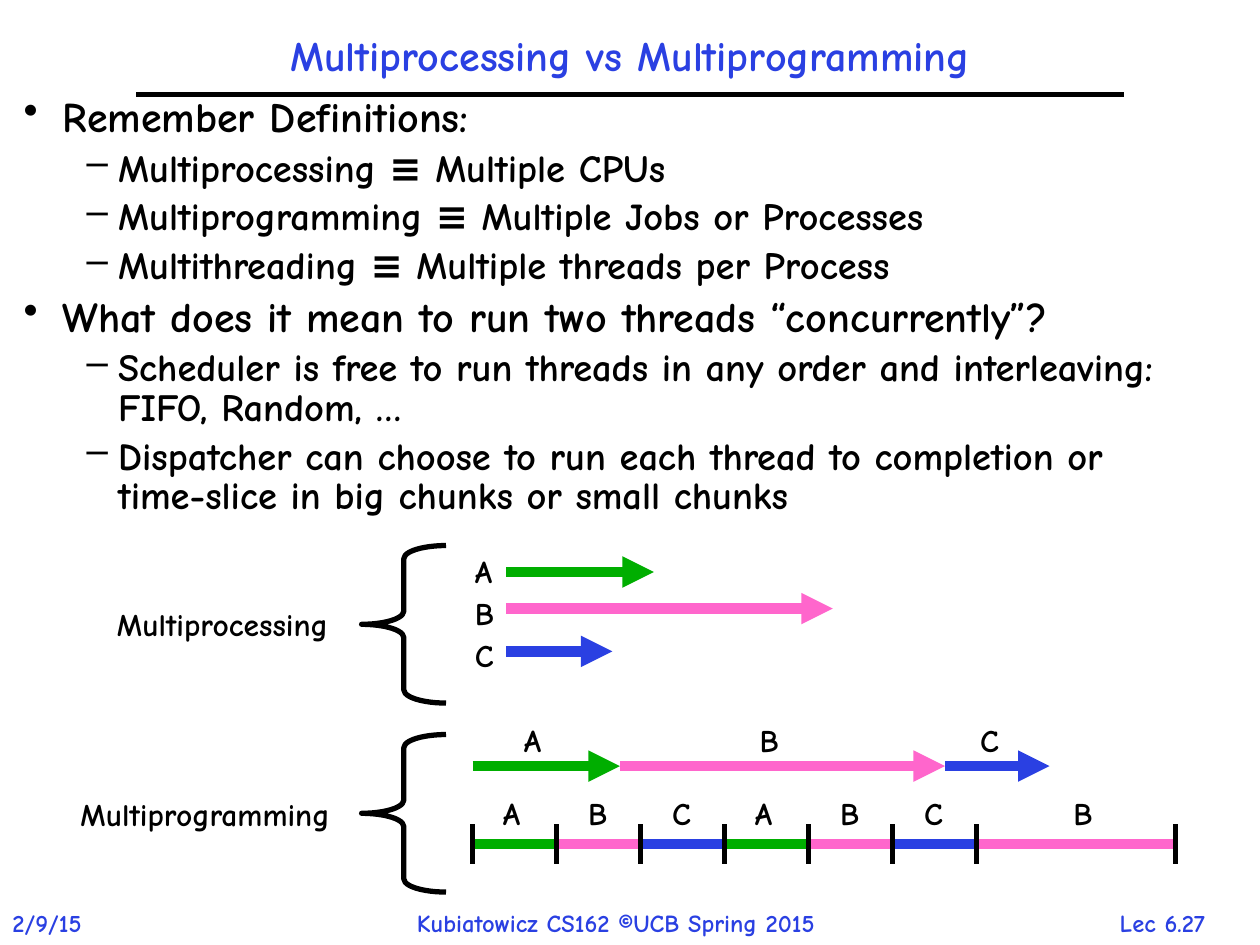
import dataclasses

import pptx
import pptx.dml.color
import pptx.enum.shapes
import pptx.enum.text
import pptx.oxml
import pptx.oxml.ns
import pptx.util

Inches = pptx.util.Inches
Align = pptx.enum.text.PP_ALIGN
Anchor = pptx.enum.text.MSO_ANCHOR


@dataclasses.dataclass(frozen=True)
class Theme:
    font: str = "Comic Neue"
    black: str = "000000"
    blue: str = "2A40E2"
    green: str = "00AE00"
    pink: str = "FF66CC"
    heading: int = 24
    detail: int = 22
    label: int = 18
    footer: int = 14
    thin: int = 3
    thick: int = 6


THEME = Theme()
JOB_COLORS = {"A": THEME.green, "B": THEME.pink, "C": THEME.blue}
LABEL_WIDTHS = {"A": 0.38, "B": 0.36, "C": 0.36}
LABEL_HEIGHT = 0.4

# Text, indent level
BODY = [
    ("Remember Definitions:", 0),
    ("Multiprocessing ≡ Multiple CPUs", 1),
    ("Multiprogramming ≡ Multiple Jobs or Processes", 1),
    ("Multithreading ≡ Multiple threads per Process", 1),
    ("What does it mean to run two threads “concurrently”?", 0),
    ("Scheduler is free to run threads in any order and interleaving: FIFO, Random, …", 1),
    ("Dispatcher can choose to run each thread to completion or "
     "time-slice in big chunks or small chunks", 1),
]
# Bullet, left margin, hanging indent, type size
LEVELS = [("•", 0.31, -0.31, THEME.heading), ("–", 0.75, -0.25, THEME.detail)]


def rgb(color):
    return pptx.dml.color.RGBColor.from_string(color)


def set_values(target, values):
    for name, value in values.items():
        setattr(target, name, value)


def style_font(paragraph, size, color):
    set_values(paragraph.font, {"name": THEME.font, "size": pptx.util.Pt(size), "bold": True})
    paragraph.font.color.rgb = rgb(color)


def add_text(shapes, box, text, size, color, frame_format=None, **paragraph_format):
    text_frame = shapes.add_textbox(*map(Inches, box)).text_frame
    set_values(text_frame, {"word_wrap": False, **(frame_format or {})})
    paragraph = text_frame.paragraphs[0]
    paragraph.text = text
    set_values(paragraph, paragraph_format)
    style_font(paragraph, size, color)


def add_line(shapes, start, end, color, width, arrow=False):
    connector = shapes.add_connector(
        pptx.enum.shapes.MSO_CONNECTOR.STRAIGHT, *map(Inches, (*start, *end)))
    connector.line.color.rgb = rgb(color)
    connector.line.width = pptx.util.Pt(width)
    if arrow:
        tail = pptx.oxml.parse_xml(
            f'<a:tailEnd {pptx.oxml.ns.nsdecls("a")} type="triangle"/>')
        connector.line._get_or_add_ln().append(tail)
    properties = connector._element.spPr
    properties.append(pptx.oxml.parse_xml(f'<a:effectLst {pptx.oxml.ns.nsdecls("a")}/>'))


def add_job_label(shapes, job, center, top):
    width = LABEL_WIDTHS[job]
    add_text(shapes, (center - width / 2, top, width, LABEL_HEIGHT), job,
             THEME.label, THEME.black)


def add_brace(shapes, box):
    brace = shapes.add_shape(
        pptx.enum.shapes.MSO_SHAPE.LEFT_BRACE, *map(Inches, box))
    brace.adjustments[0] = 0.156
    brace.fill.background()
    brace.line.color.rgb = rgb(THEME.black)
    brace.line.width = pptx.util.Pt(THEME.thin)
    brace.shadow.inherit = False


def add_footer(slide, top):
    color = THEME.blue
    add_text(slide.shapes, (0, top, 0.88, 0.34), "2/9/15", THEME.footer, color)
    add_text(slide.shapes, (3.21, top, 3.87, 0.34),
             "Kubiatowicz CS162 ©UCB Spring 2015", THEME.footer, color)
    add_text(slide.shapes, (8.62, top, 1.21, 0.34), "Lec 6.27", THEME.footer, color,
             alignment=Align.CENTER)


def add_title(slide, box):
    left, top, width, height = box
    bottom = top + height
    add_line(slide.shapes, (left, bottom), (left + width, bottom), THEME.black, THEME.thin)
    add_text(slide.shapes, box, "Multiprocessing vs Multiprogramming", THEME.heading,
             THEME.blue, {"word_wrap": True, "vertical_anchor": Anchor.MIDDLE},
             alignment=Align.CENTER, line_spacing=0.9)


def add_body(slide, box):
    text_frame = slide.shapes.add_textbox(*map(Inches, box)).text_frame
    text_frame.word_wrap = True
    for index, (text, level) in enumerate(BODY):
        paragraph = text_frame.add_paragraph() if index else text_frame.paragraphs[0]
        bullet, margin, indent, size = LEVELS[level]
        paragraph.text = text
        set_values(paragraph, {
            "level": level,
            "line_spacing": 0.85,
            "space_before": pptx.util.Pt(size * 0.25 if index else 0),
        })
        properties = paragraph._p.get_or_add_pPr()
        properties.set("marL", str(Inches(margin)))
        properties.set("indent", str(Inches(indent)))
        properties.append(pptx.oxml.parse_xml(
            f'<a:buChar {pptx.oxml.ns.nsdecls("a")} char="{bullet}"/>'))
        style_font(paragraph, size, THEME.black)


def add_multiprocessing(slide, box):
    left, top, width, height = box
    shapes = slide.shapes.add_group_shape().shapes
    add_text(shapes, (left, top + 0.42, 2.04, LABEL_HEIGHT), "Multiprocessing",
             THEME.label, THEME.black)
    add_brace(shapes, (left + 2.04, top, 0.67, height))
    # Job, arrow length, arrow offset from the top
    jobs = [("A", 1.17, 0.21), ("B", 2.59, 0.5), ("C", 0.84, 0.84)]
    for row, (job, length, offset) in enumerate(jobs):
        label_left = left + 2.84
        add_job_label(shapes, job, label_left + LABEL_WIDTHS[job] / 2, top + row / 3)
        start, y = left + 3.19, top + offset
        add_line(shapes, (start, y), (start + length, y), JOB_COLORS[job],
                 THEME.thick, arrow=True)


def add_multiprogramming(slide, box):
    left, top, width, height = box
    shapes = slide.shapes.add_group_shape().shapes
    add_text(shapes, (left, top + 0.43, 2.3, LABEL_HEIGHT), "Multiprogramming",
             THEME.label, THEME.black)
    add_brace(shapes, (left + 2.33, top, 0.67, height))
    origin = left + 3.21

    # Each job run to completion: job, length, label centre from the arrow start
    x, y = origin, top + 0.25
    for job, length, center in [("A", 1.17, 0.5), ("B", 2.58, 1.19), ("C", 0.83, 0.36)]:
        add_line(shapes, (x, y), (x + length, y), JOB_COLORS[job], THEME.thick, arrow=True)
        add_job_label(shapes, job, x + center, top - 0.16)
        x += length

    # Time slices, the last one longer
    slot = 2 / 3
    x, y, half_tick = origin, top + 0.87, 0.16
    slices = [(job, slot, slot / 2) for job in "ABCABC"] + [("B", 1.58, 0.85)]
    for job, length, center in slices:
        add_line(shapes, (x, y), (x + length, y), JOB_COLORS[job], THEME.thick)
        add_line(shapes, (x, y - half_tick), (x, y + half_tick), THEME.black, THEME.thin)
        add_job_label(shapes, job, x + center, top + 0.42)
        x += length
    add_line(shapes, (x, y - half_tick), (x, y + half_tick), THEME.black, THEME.thin)


def main():
    presentation = pptx.Presentation()
    set_values(presentation, {"slide_width": Inches(10), "slide_height": Inches(7.5)})
    slide = presentation.slides.add_slide(presentation.slide_layouts[6])
    add_footer(slide, 7.16)
    add_title(slide, (1.08, 0.17, 7.84, 0.58))
    add_body(slide, (0.09, 0.73, 9.53, 3.73))
    add_multiprogramming(slide, (0.54, 5.83, 8.79, 1.25))
    add_multiprocessing(slide, (0.83, 4.33, 5.78, 1.25))
    presentation.save("out.pptx")


if __name__ == "__main__":
    main()
